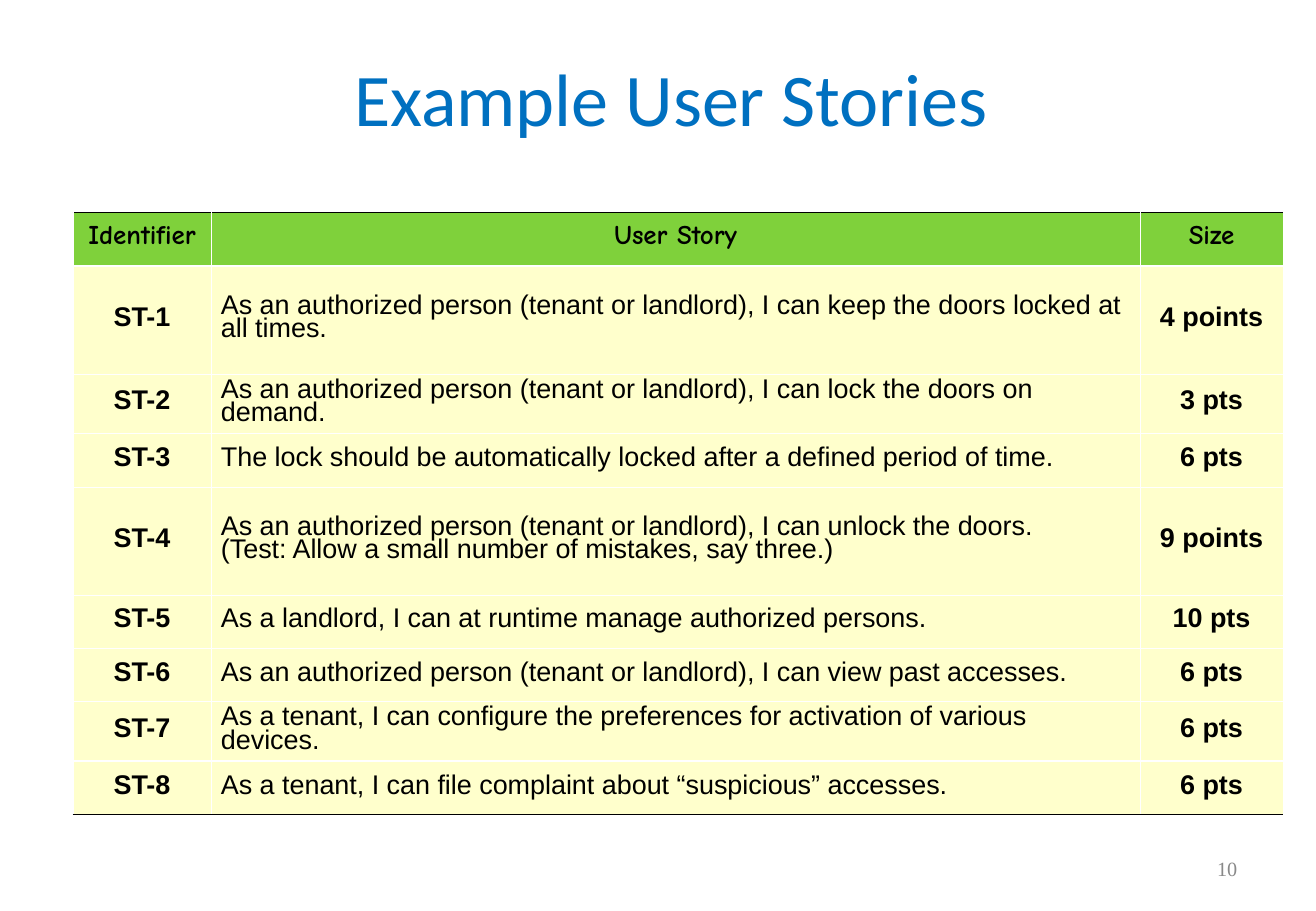
"""Build the slide of example user stories."""
import dataclasses

import lxml.etree
import pptx
import pptx.dml.color
import pptx.enum.text
import pptx.oxml.ns
import pptx.util

SCALE = 9144
WIDTHS = (114, 765, 118)
LOW, TALL = 44, 89
THIN, THICK = 0.45, 1.47
CENTER = pptx.enum.text.PP_ALIGN.CENTER
LEFT = pptx.enum.text.PP_ALIGN.LEFT
RIGHT = pptx.enum.text.PP_ALIGN.RIGHT
MIDDLE = pptx.enum.text.MSO_ANCHOR.MIDDLE


@dataclasses.dataclass
class Story:
    name: str
    text: str
    size: str
    height: int = LOW


@dataclasses.dataclass
class Look:
    font: str
    size: int
    color: str
    bold: bool = False
    align: pptx.enum.text.PP_ALIGN = CENTER


@dataclasses.dataclass
class Edge:
    color: str = "FFFFFF"
    width: float = THIN


HEAD = Story("Identifier", "User Story", "Size")
STORIES = [
    Story("ST-1", "As an authorized person (tenant or landlord), I can keep the doors locked at all times.",
          "4 points", TALL),
    Story("ST-2", "As an authorized person (tenant or landlord), I can lock the doors on demand.", "3 pts"),
    Story("ST-3", "The lock should be automatically locked after a defined period of time.", "6 pts"),
    Story("ST-4", "As an authorized person (tenant or landlord), I can unlock the doors.\v"
          "(Test: Allow a small number of mistakes, say three.)", "9 points", TALL),
    Story("ST-5", "As a landlord, I can at runtime manage authorized persons.", "10 pts"),
    Story("ST-6", "As an authorized person (tenant or landlord), I can view past accesses.", "6 pts"),
    Story("ST-7", "As a tenant, I can configure the preferences for activation of various devices.", "6 pts"),
    Story("ST-8", "As a tenant, I can file complaint about “suspicious” accesses.", "6 pts"),
]
ROWS = [HEAD, *STORIES]
EDGES = {0: Edge("000000"), 1: Edge(width=THICK),
         len(ROWS) - 1: Edge(width=THICK), len(ROWS): Edge("000000")}


def px(count: int) -> pptx.util.Emu:
    return pptx.util.Emu(count * SCALE)


def paint(code: str) -> pptx.dml.color.RGBColor:
    return pptx.dml.color.RGBColor.from_string(code)


def write(frame: pptx.text.text.TextFrame, text: str, look: Look) -> None:
    frame.text = text
    for para in frame.paragraphs:
        para.alignment = look.align
        for run in para.runs:
            run.font.name = look.font
            run.font.size = pptx.util.Pt(look.size)
            run.font.bold = look.bold
            run.font.color.rgb = paint(look.color)


def rule(cell: pptx.table._Cell, side: str, edge: Edge) -> None:
    name = pptx.oxml.ns.qn
    line = lxml.etree.SubElement(cell._tc.get_or_add_tcPr(), name(f"a:ln{side}"),
                                 w=str(int(pptx.util.Pt(edge.width))))
    fill = lxml.etree.SubElement(line, name("a:solidFill"))
    lxml.etree.SubElement(fill, name("a:srgbClr"), val=edge.color)


def draw_cell(cell: pptx.table._Cell, row: int, col: int, text: str) -> None:
    if row == 0:
        look = Look("Comic Neue", 16, "000000", True)
    elif col == 1:
        look = Look("Arial", 16, "000000", align=LEFT)
    else:
        look = Look("Arial", 16, "000000", True)
    write(cell.text_frame, text, look)
    para = cell.text_frame.paragraphs[0]
    para.line_spacing = pptx.util.Pt(14)
    para.space_after = pptx.util.Pt(2)
    cell.vertical_anchor = MIDDLE
    cell.margin_left = cell.margin_right = px(2 if row == col == 0 else 8)
    cell.margin_top = cell.margin_bottom = px(5)
    sides = {"L": Edge(), "R": Edge(),
             "T": EDGES.get(row, Edge()), "B": EDGES.get(row + 1, Edge())}
    for side, edge in sides.items():
        rule(cell, side, edge)
    cell.fill.solid()
    cell.fill.fore_color.rgb = paint("FFFFCC" if row else "7FD13B")


def draw_table(slide: pptx.slide.Slide) -> None:
    high = sum(story.height for story in ROWS)
    table = slide.shapes.add_table(len(ROWS), len(WIDTHS), px(60), px(175),
                                   px(sum(WIDTHS)), px(high)).table
    table.first_row = table.horz_banding = False
    for col, width in enumerate(WIDTHS):
        table.columns[col].width = px(width)
    for row, story in enumerate(ROWS):
        table.rows[row].height = px(story.height)
        for col, text in enumerate((story.name, story.text, story.size)):
            draw_cell(table.cell(row, col), row, col, text)


def main() -> None:
    deck = pptx.Presentation()
    deck.slide_width, deck.slide_height = px(1084), px(750)
    slide = deck.slides.add_slide(deck.slide_layouts[5])
    title = slide.shapes.title
    title.left, title.top, title.width, title.height = px(45), px(17), px(1016), px(125)
    title.text_frame.vertical_anchor = MIDDLE
    write(title.text_frame, "Example User Stories", Look("Calibri", 44, "0070C0"))
    draw_table(slide)
    page = slide.shapes.add_textbox(px(776), px(695), px(253), px(40)).text_frame
    page.word_wrap = True
    page.vertical_anchor = MIDDLE
    write(page, "10", Look("Times New Roman", 12, "898989", align=RIGHT))
    deck.save("out.pptx")


if __name__ == "__main__":
    main()
